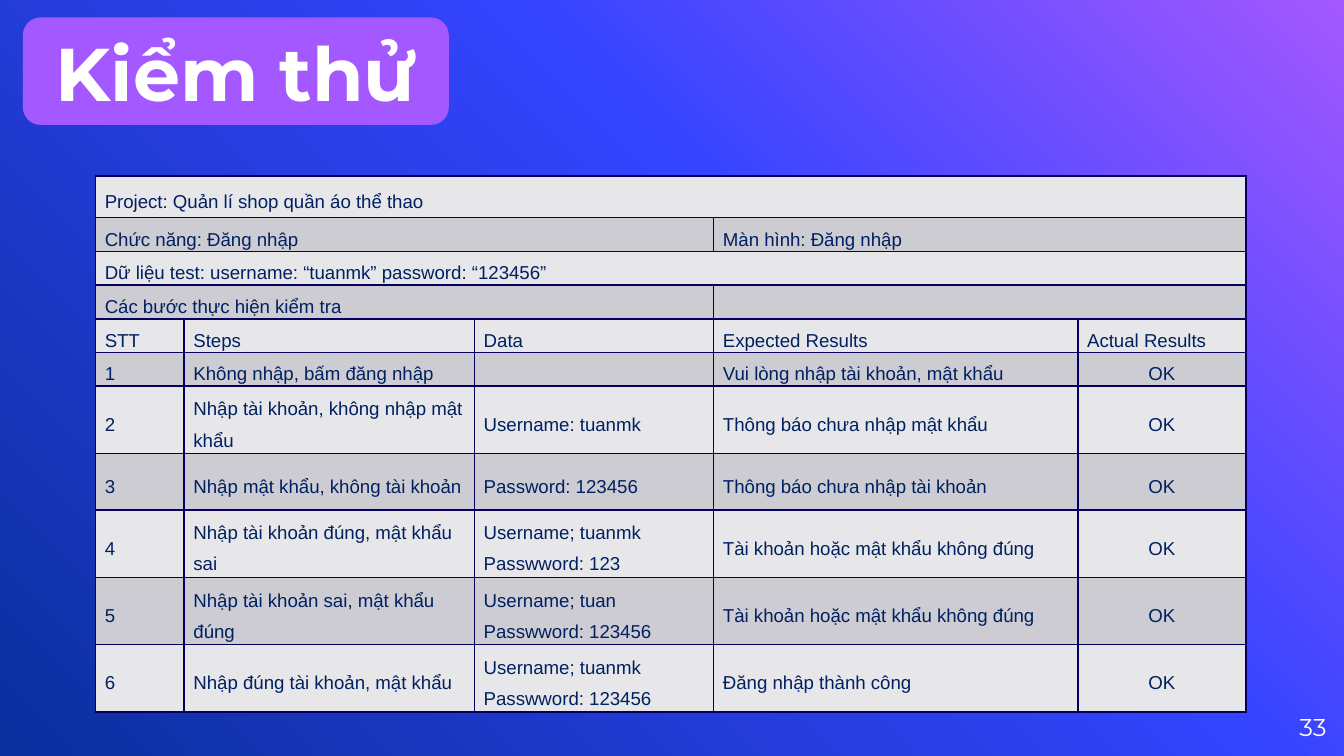
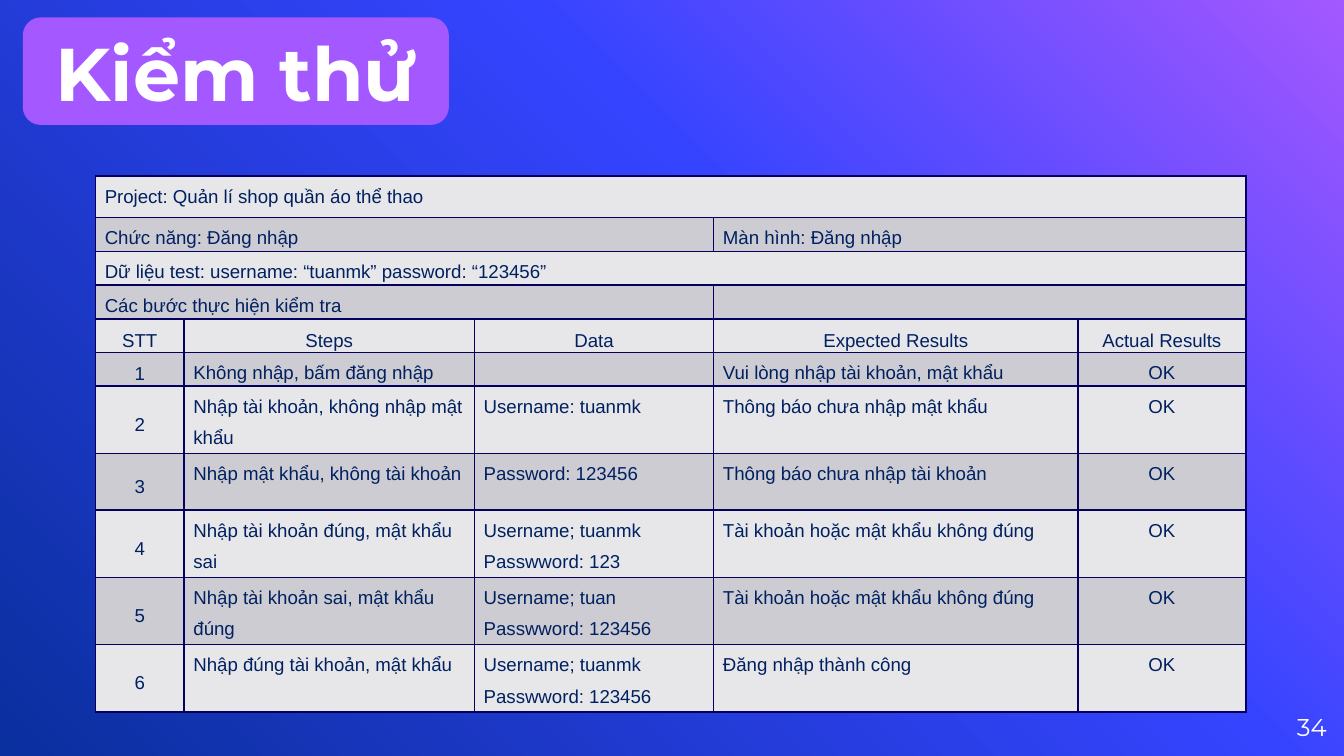
from lxml import etree
from pptx import Presentation
from pptx.dml.color import RGBColor
from pptx.enum.shapes import MSO_SHAPE
from pptx.enum.text import MSO_ANCHOR, PP_ALIGN
from pptx.oxml.ns import qn
from pptx.util import Inches, Pt

LEFT, CENTER, RIGHT = PP_ALIGN.LEFT, PP_ALIGN.CENTER, PP_ALIGN.RIGHT
TOP, MIDDLE = MSO_ANCHOR.TOP, MSO_ANCHOR.MIDDLE
ROUNDED_RECTANGLE = MSO_SHAPE.ROUNDED_RECTANGLE

PURPLE = RGBColor(0xA4, 0x58, 0xFF)
BLUE = RGBColor(0x35, 0x44, 0xFF)
DEEP_BLUE = RGBColor(0x0A, 0x2F, 0x9E)
WHITE = RGBColor(0xFF, 0xFF, 0xFF)
NAVY = RGBColor(0x00, 0x20, 0x60)
BORDER = RGBColor(0x05, 0x00, 0x60)
BANDS = RGBColor(0xE7, 0xE7, 0xEA), RGBColor(0xCC, 0xCC, 0xD2)

SLIDE_WIDTH = Inches(10)
SLIDE_HEIGHT = SLIDE_WIDTH * 9 // 16
BACKGROUND_STOPS = (0, PURPLE), (39, BLUE), (100, DEEP_BLUE)
TITLE_FORMAT = {"name": "Montserrat", "size": Pt(40), "bold": True}
NUMBER_FORMAT = {"name": "Montserrat", "size": Pt(13)}
CELL_FORMAT = {"name": "Arial", "size": Pt(10)}
CELL_MARGINS = {"margin_left": Inches(0.07), "margin_right": Inches(0.07),
                "margin_top": 0, "margin_bottom": 0}
NO_MARGINS = dict.fromkeys(CELL_MARGINS, 0)

TABLE_WIDTH, TABLE_HEIGHT = Inches(8.57), Inches(3.73)
COLUMN_WIDTHS = [0.66, 2.16, 1.78, 2.71, 1.25]
ROW_HEIGHTS = [0.31] + [0.2] * 4 + [0.25] + [0.42] * 5
HEADER_ROW = 4
LAST_COLUMN = len(COLUMN_WIDTHS) - 1

# None continues the cell to its left.
TEST_ROWS = [
    ["Project: Quản lí shop quần áo thể thao", None, None, None, None],
    ["Chức năng: Đăng nhập", None, None, "Màn hình: Đăng nhập", None],
    ["Dữ liệu test: username: “tuanmk” password: “123456”", None, None, None, None],
    ["Các bước thực hiện kiểm tra", None, None, "", None],
    ["STT", "Steps", "Data", "Expected Results", "Actual Results"],
    ["1", "Không nhập, bấm đăng nhập", "", "Vui lòng nhập tài khoản, mật khẩu", "OK"],
    ["2", "Nhập tài khoản, không nhập mật khẩu", "Username: tuanmk",
     "Thông báo chưa nhập mật khẩu", "OK"],
    ["3", "Nhập mật khẩu, không tài khoản", "Password: 123456",
     "Thông báo chưa nhập tài khoản", "OK"],
    ["4", "Nhập tài khoản đúng, mật khẩu sai", "Username; tuanmk\nPasswword: 123",
     "Tài khoản hoặc mật khẩu không đúng", "OK"],
    ["5", "Nhập tài khoản sai, mật khẩu đúng", "Username; tuan\nPasswword: 123456",
     "Tài khoản hoặc mật khẩu không đúng", "OK"],
    ["6", "Nhập đúng tài khoản, mật khẩu", "Username; tuanmk\nPasswword: 123456",
     "Đăng nhập thành công", "OK"],
]


def write_line(shape, text, alignment, font_format):
    """Put one white, vertically centred line into a shape without margins."""
    frame = shape.text_frame
    frame.word_wrap = True
    frame.vertical_anchor = MIDDLE
    for name, value in NO_MARGINS.items():
        setattr(frame, name, value)
    paragraph = frame.paragraphs[0]
    paragraph.alignment = alignment
    run = paragraph.add_run()
    run.text = text
    run.font.color.rgb = WHITE
    for name, value in font_format.items():
        setattr(run.font, name, value)


def add_solid_fill(parent, color):
    fill = etree.SubElement(parent, qn("a:solidFill"))
    etree.SubElement(fill, qn("a:srgbClr"), val=str(color))


presentation = Presentation()
presentation.slide_width, presentation.slide_height = SLIDE_WIDTH, SLIDE_HEIGHT

for slide_number, centred_header in ((33, False), (34, True)):
    slide = presentation.slides.add_slide(presentation.slide_layouts[6])

    slide.background.fill.gradient()
    gradient = slide.element.find(".//" + qn("a:gradFill"))
    for child in list(gradient):
        gradient.remove(child)
    stops = etree.SubElement(gradient, qn("a:gsLst"))
    for percent, color in BACKGROUND_STOPS:
        stop = etree.SubElement(stops, qn("a:gs"), pos=str(percent * 1000))
        etree.SubElement(stop, qn("a:srgbClr"), val=str(color))
    etree.SubElement(gradient, qn("a:lin"), ang=str(135 * 60000), scaled="0")

    number_box = slide.shapes.add_textbox(Inches(9.27), Inches(5.19), Inches(0.6), Inches(0.43))
    write_line(number_box, str(slide_number), RIGHT, NUMBER_FORMAT)

    title = slide.shapes.add_shape(
        ROUNDED_RECTANGLE, Inches(0.17), Inches(0.13), Inches(3.17), Inches(0.8))
    title.shadow.inherit = False
    title.fill.solid()
    title.fill.fore_color.rgb = PURPLE
    title.line.fill.background()
    write_line(title, "Kiểm thử", CENTER, TITLE_FORMAT)

    table_frame = slide.shapes.add_table(
        len(TEST_ROWS), len(COLUMN_WIDTHS), Inches(0.71), Inches(1.31),
        TABLE_WIDTH, TABLE_HEIGHT)
    table = table_frame.table
    for column, width in zip(table.columns, COLUMN_WIDTHS):
        column.width = Inches(width)
    for row, height in zip(table.rows, ROW_HEIGHTS):
        row.height = Inches(height)
    # Changing rows and columns resizes the frame, so its size is set last.
    table_frame.width, table_frame.height = TABLE_WIDTH, TABLE_HEIGHT

    for row_index, texts in enumerate(TEST_ROWS):
        for column_index, text in enumerate(texts):
            cell = table.cell(row_index, column_index)
            end = column_index
            while end < LAST_COLUMN and texts[end + 1] is None:
                end += 1
            if text is not None and end > column_index:
                cell.merge(table.cell(row_index, end))

            is_step = row_index > HEADER_ROW
            is_label = row_index == HEADER_ROW or (is_step and column_index == 0)
            is_result = is_step and column_index == LAST_COLUMN
            centred = is_result or (centred_header and is_label)
            cell.vertical_anchor = TOP if centred_header and not is_label else MIDDLE
            for name, value in CELL_MARGINS.items():
                setattr(cell, name, value)

            cell.text_frame.text = text or ""
            for paragraph in cell.text_frame.paragraphs:
                paragraph.alignment = CENTER if centred else LEFT
                paragraph.line_spacing = 1.5
                if end == LAST_COLUMN:
                    paragraph.space_after = Pt(6)
                for run in paragraph.runs:
                    run.font.color.rgb = NAVY
                    for name, value in CELL_FORMAT.items():
                        setattr(run.font, name, value)
                paragraph_end = etree.SubElement(paragraph._p, qn("a:endParaRPr"), sz="1000")
                etree.SubElement(paragraph_end, qn("a:latin"), typeface=CELL_FORMAT["name"])

            properties = cell._tc.get_or_add_tcPr()
            for side in ("a:lnL", "a:lnR", "a:lnT", "a:lnB"):
                add_solid_fill(etree.SubElement(properties, qn(side), w=str(Pt(1))), BORDER)
            cell.fill.solid()
            cell.fill.fore_color.rgb = BANDS[row_index % 2]

presentation.save("out.pptx")
